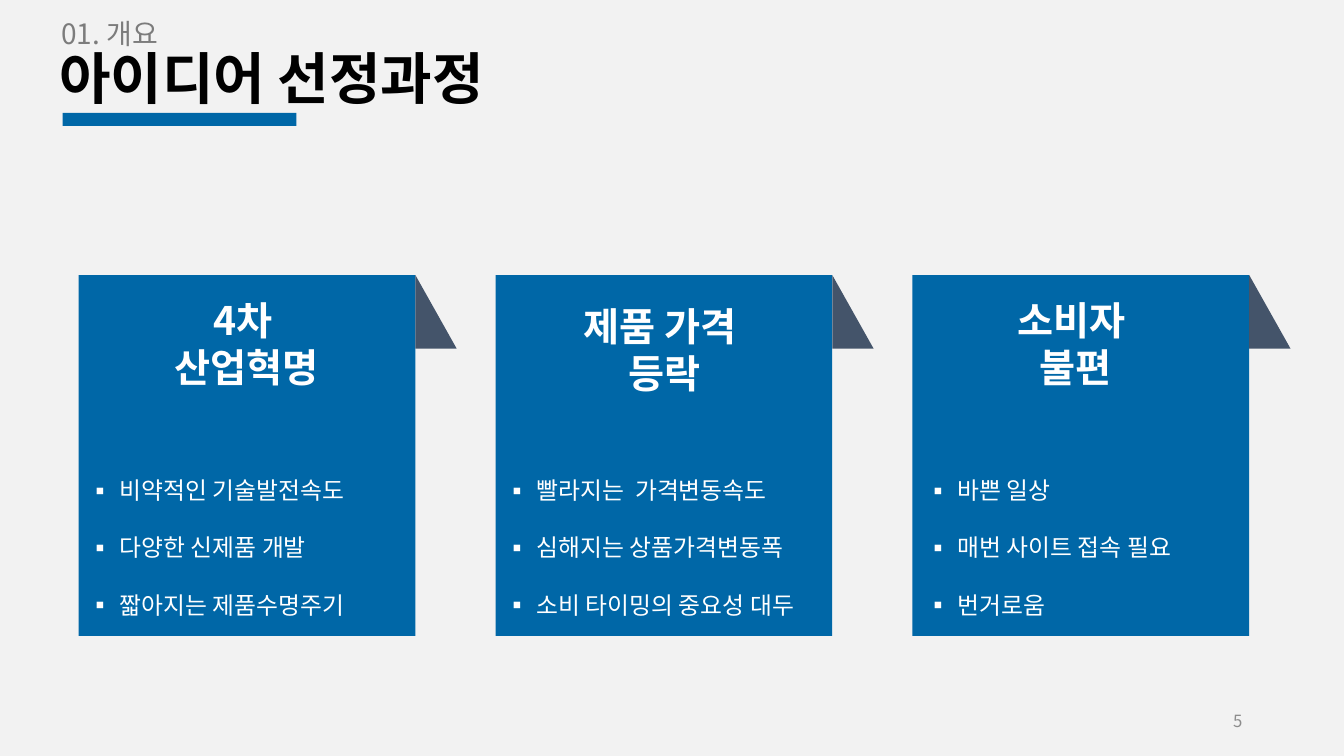
import pptx
import pptx.dml.color
import pptx.enum.shapes
import pptx.enum.text
import pptx.oxml.ns
import pptx.util
from lxml import etree

WIDTH, HEIGHT = 13.33, 7.5
FONT = "Noto Sans CJK KR"
COLORS = {"page": "F2F2F2", "blue": "0067A7", "fold": "44546A", "title": "000000",
          "section": "7C7C7C", "white": "FFFFFF", "number": "8C8C8C"}
ALIGN = pptx.enum.text.PP_ALIGN
ANCHOR = pptx.enum.text.MSO_ANCHOR
SHAPE = pptx.enum.shapes.MSO_SHAPE

CARD_LEFT, CARD_TOP, CARD_WIDTH, CARD_HEIGHT = 0.78, 2.73, 3.34, 3.58
CARD_STEP = 4.135
CARDS = [
    {"heading": ["4차 ", "산업혁명"], "heading_box": (0.64, 0.16, 2.06), "latin": FONT, "shift": 0,
     "points": ["비약적인 기술발전속도", "다양한 신제품 개발", "짧아지는 제품수명주기"]},
    {"heading": ["제품 가격 ", "등락"], "heading_box": (0.64, 0.22, 2.07), "latin": FONT, "shift": 0,
     "points": ["빨라지는  가격변동속도", "심해지는 상품가격변동폭", "소비 타이밍의 중요성 대두"]},
    {"heading": ["소비자 ", "불편"], "heading_box": (0.35, 0.16, 2.54), "latin": "Arial", "shift": 0.04,
     "points": ["바쁜 일상", "매번 사이트 접속 필요", "번거로움"]},
]


def color(name):
    """Return the named colour."""
    return pptx.dml.color.RGBColor.from_string(COLORS[name])


def add_block(page, kind, box, fill):
    """Add a filled shape without outline or shadow."""
    block = page.shapes.add_shape(kind, *map(pptx.util.Inches, box))
    block.shadow.inherit = False
    block.fill.solid()
    block.fill.fore_color.rgb = color(fill)
    block.line.fill.background()


def add_bullet(para):
    """Give a paragraph a hanging square bullet."""
    props = para._p.get_or_add_pPr()
    indent = pptx.util.Inches(0.31)
    props.set("marL", str(indent))
    props.set("indent", str(-indent))
    font = etree.SubElement(props, pptx.oxml.ns.qn("a:buFont"))
    font.set("typeface", FONT)
    mark = etree.SubElement(props, pptx.oxml.ns.qn("a:buChar"))
    mark.set("char", "▪")


def add_text(page, box, lines, size, ink, bold=False, align=ALIGN.LEFT, anchor=ANCHOR.TOP,
             spacing=1.0, bullets=False, latin=FONT):
    """Add a wrapped text box with one paragraph per line."""
    frame = page.shapes.add_textbox(*map(pptx.util.Inches, box)).text_frame
    frame.word_wrap = True
    frame.vertical_anchor = anchor
    for index, line in enumerate(lines):
        para = frame.add_paragraph() if index else frame.paragraphs[0]
        para.alignment = align
        para.line_spacing = spacing
        if bullets:
            add_bullet(para)
        span = para.add_run()
        span.text = line
        span.font.size = pptx.util.Pt(size)
        span.font.bold = bold
        span.font.color.rgb = color(ink)
        span.font.name = latin
        east = etree.SubElement(span._r.get_or_add_rPr(), pptx.oxml.ns.qn("a:ea"))
        east.set("typeface", FONT)


def add_header(page, left, top):
    """Add the section label, title and accent bar."""
    add_block(page, SHAPE.RECTANGLE, (left + 0.11, top + 0.97, 2.32, 0.13), "blue")
    add_text(page, (left - 0.02, top + 0.17, 11.5, 0.98), ["아이디어 선정과정"], 40, "title",
             bold=True, anchor=ANCHOR.MIDDLE, spacing=0.9)
    add_text(page, (left, top, 5.62, 0.63), ["01. 개요"], 20, "section", spacing=0.9)


def add_card(page, left, top, width, height, card):
    """Add a folded card with its heading and bullet points."""
    add_block(page, SHAPE.RECTANGLE, (left, top, width, height), "blue")
    add_block(page, SHAPE.RIGHT_TRIANGLE, (left + width, top, 0.41, 0.73), "fold")
    dx, dy, heading_width = card["heading_box"]
    add_text(page, (left + dx, top + dy, heading_width, 1.04), card["heading"], 28, "white",
             bold=True, align=ALIGN.CENTER, latin=card["latin"])
    add_text(page, (left + card["shift"], top + 1.66, width, 1.73), card["points"], 17, "white",
             spacing=2.0, bullets=True)


def add_page_number(page, box):
    """Add the page number."""
    add_text(page, box, ["5"], 12, "number", align=ALIGN.RIGHT, anchor=ANCHOR.MIDDLE)


def main():
    """Build and save the deck."""
    deck = pptx.Presentation()
    deck.slide_width = pptx.util.Inches(WIDTH)
    deck.slide_height = pptx.util.Inches(HEIGHT)
    page = deck.slides.add_slide(deck.slide_layouts[6])
    page.background.fill.solid()
    page.background.fill.fore_color.rgb = color("page")
    add_header(page, 0.51, 0.15)
    for column, card in enumerate(CARDS):
        add_card(page, CARD_LEFT + column * CARD_STEP, CARD_TOP, CARD_WIDTH, CARD_HEIGHT, card)
    add_page_number(page, (9.42, 6.95, 3, 0.4))
    deck.save("out.pptx")


if __name__ == "__main__":
    main()
